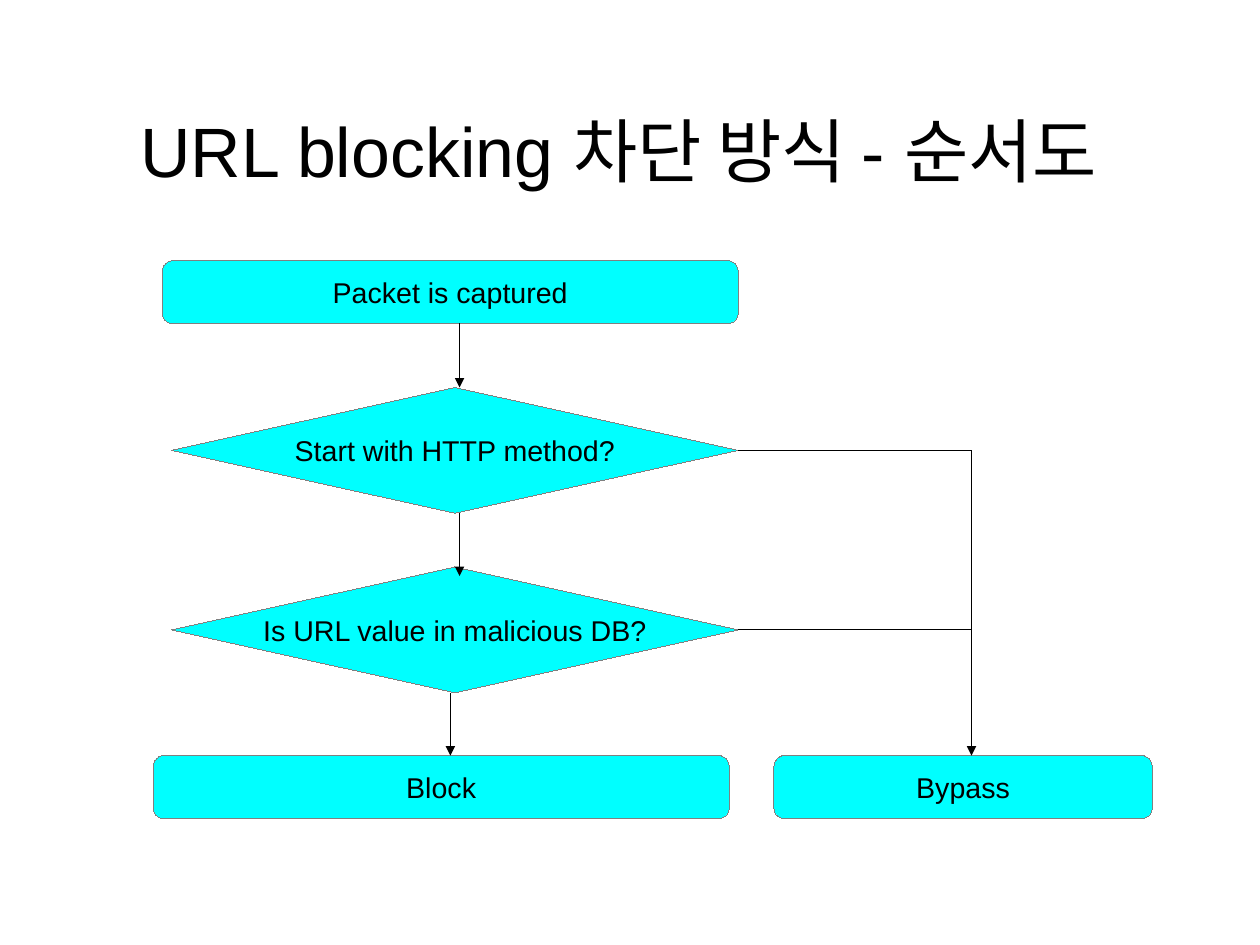
from pptx import Presentation
from pptx.dml.color import RGBColor
from pptx.enum.shapes import MSO_CONNECTOR, MSO_SHAPE as SHAPE
from pptx.enum.text import MSO_ANCHOR, PP_ALIGN
from pptx.oxml.ns import qn
from pptx.util import Pt
from lxml.etree import SubElement

COLORS = {"text": "000000", "fill": "00FFFF", "outline": "808080", "line": "000000"}
FONT = "Arial"


def rgb(name):
    return RGBColor.from_string(COLORS[name])


def set_text(tf, text, size):
    tf.vertical_anchor = MSO_ANCHOR.MIDDLE
    p = tf.paragraphs[0]
    p.text = text
    p.alignment = PP_ALIGN.CENTER
    p.font.size, p.font.name = Pt(size), FONT
    p.font.color.rgb = rgb("text")


def set_hairline(sp, color):
    # Without the theme style, a zero width stays a hairline
    sp._element.remove(sp._element.find(qn("p:style")))
    sp.line.color.rgb = rgb(color)
    sp.line.width = Pt(0)


def add_title(s, text, x, y, w, h):
    tf = s.shapes.add_textbox(Pt(x), Pt(y), Pt(w), Pt(h)).text_frame
    tf.margin_left = tf.margin_right = tf.margin_top = tf.margin_bottom = 0
    tf.word_wrap = True
    set_text(tf, text, 44)


def add_node(s, kind, text, x, y, w, h):
    sp = s.shapes.add_shape(kind, Pt(x), Pt(y), Pt(w), Pt(h))
    if kind == SHAPE.ROUNDED_RECTANGLE:
        sp.adjustments[0] = 0.17
    sp.fill.solid()
    sp.fill.fore_color.rgb = rgb("fill")
    set_hairline(sp, "outline")
    sp.shadow.inherit = False
    sp.text_frame.word_wrap = False
    set_text(sp.text_frame, text, 18)


def add_line(s, x1, y1, x2, y2, arrow=False):
    c = s.shapes.add_connector(MSO_CONNECTOR.STRAIGHT, Pt(x1), Pt(y1), Pt(x2), Pt(y2))
    set_hairline(c, "line")
    if arrow:
        SubElement(c.line._get_or_add_ln(), qn("a:tailEnd"), type="triangle")
    SubElement(c._element.spPr, qn("a:effectLst"))


def add_flowchart(s, x, y, w, h):
    box_w, box_h = 362.9, 39.6
    test_x, test_w, test_h = x + 11.5, 357.1, 79.2
    bypass_w = 238.3
    end_y = y + h - box_h
    tests = [("Start with HTTP method?", y + 79.9),
             ("Is URL value in malicious DB?", y + 193)]

    # Steps and decisions
    add_node(s, SHAPE.ROUNDED_RECTANGLE, "Packet is captured", x + 5.7, y, box_w, box_h)
    for text, top in tests:
        add_node(s, SHAPE.DIAMOND, text, test_x, top, test_w, test_h)
    for text, left, width in [("Block", x, box_w), ("Bypass", x + w - bypass_w, bypass_w)]:
        add_node(s, SHAPE.ROUNDED_RECTANGLE, text, left, end_y, width, box_h)

    # Downward arrows
    first, second = (top for _, top in tests)
    bypass_x = x + 515.5
    for ax, start, end in [(x + 193, y + box_h, first),
                           (x + 193, first + test_h, second + 5.7),
                           (x + 187.2, second + test_h, end_y),
                           (bypass_x, first + test_h / 2, end_y)]:
        add_line(s, ax, start, ax, end, arrow=True)

    # Branches to the bypass
    for _, top in tests:
        mid = top + test_h / 2
        add_line(s, test_x + test_w, mid, bypass_x, mid)


def main():
    prs = Presentation()
    prs.slide_width, prs.slide_height = Pt(793.7), Pt(595.3)
    s = prs.slides.add_slide(prs.slide_layouts[6])
    add_title(s, "URL blocking 차단 방식 - 순서도", 56.9, 54, 666, 80.6)
    add_flowchart(s, 96.5, 164.2, 629.3, 351.4)
    prs.save("out.pptx")


if __name__ == "__main__":
    main()
